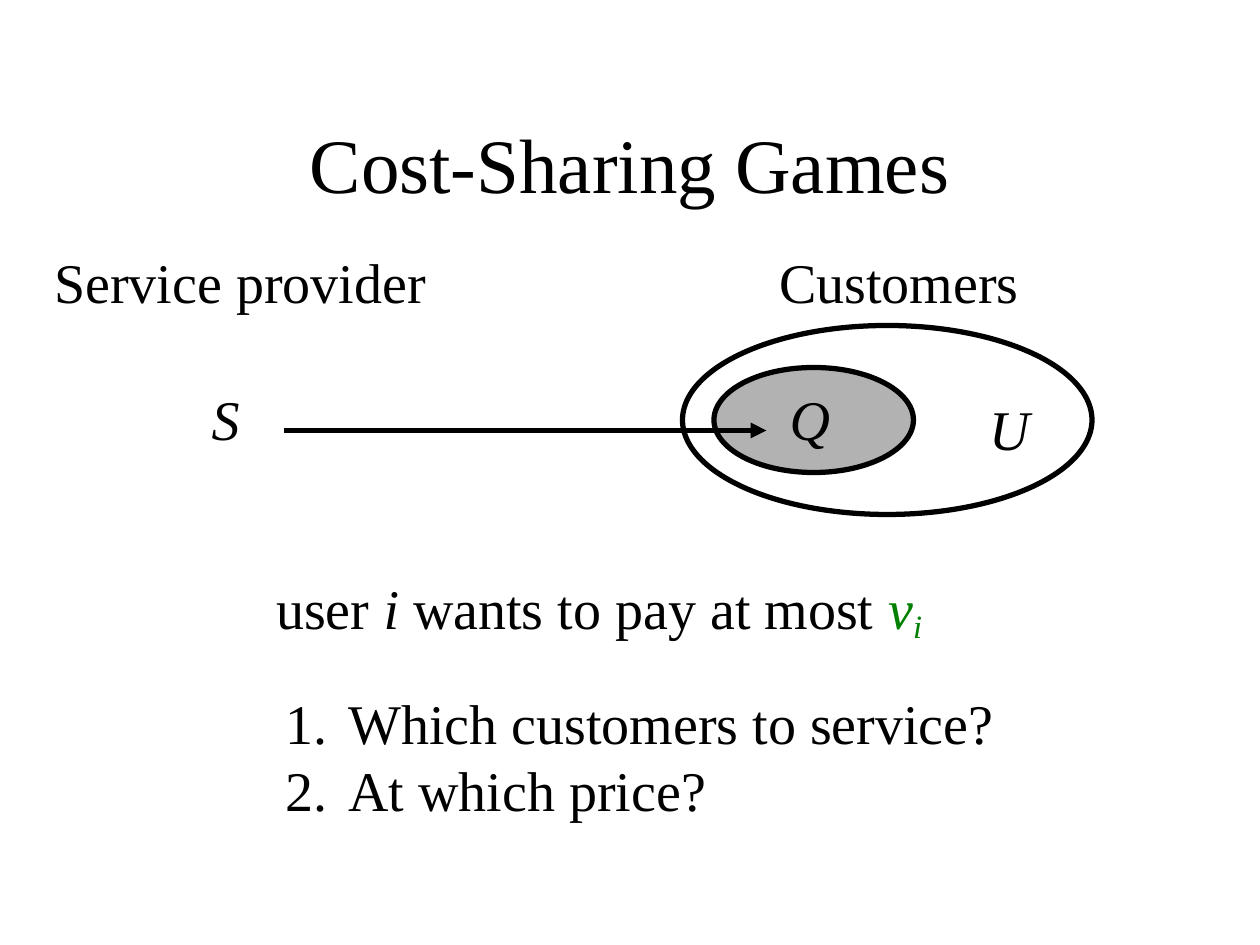
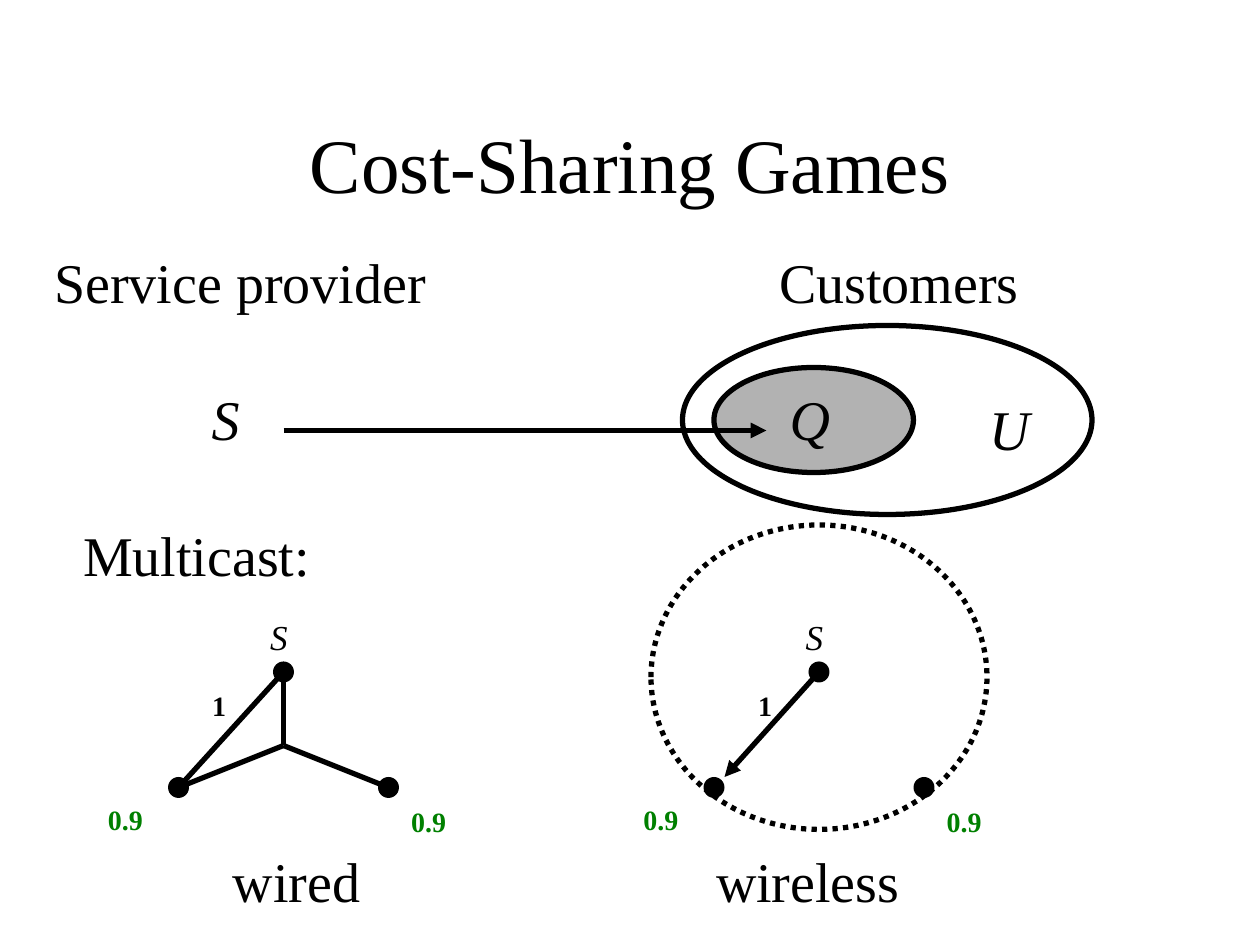
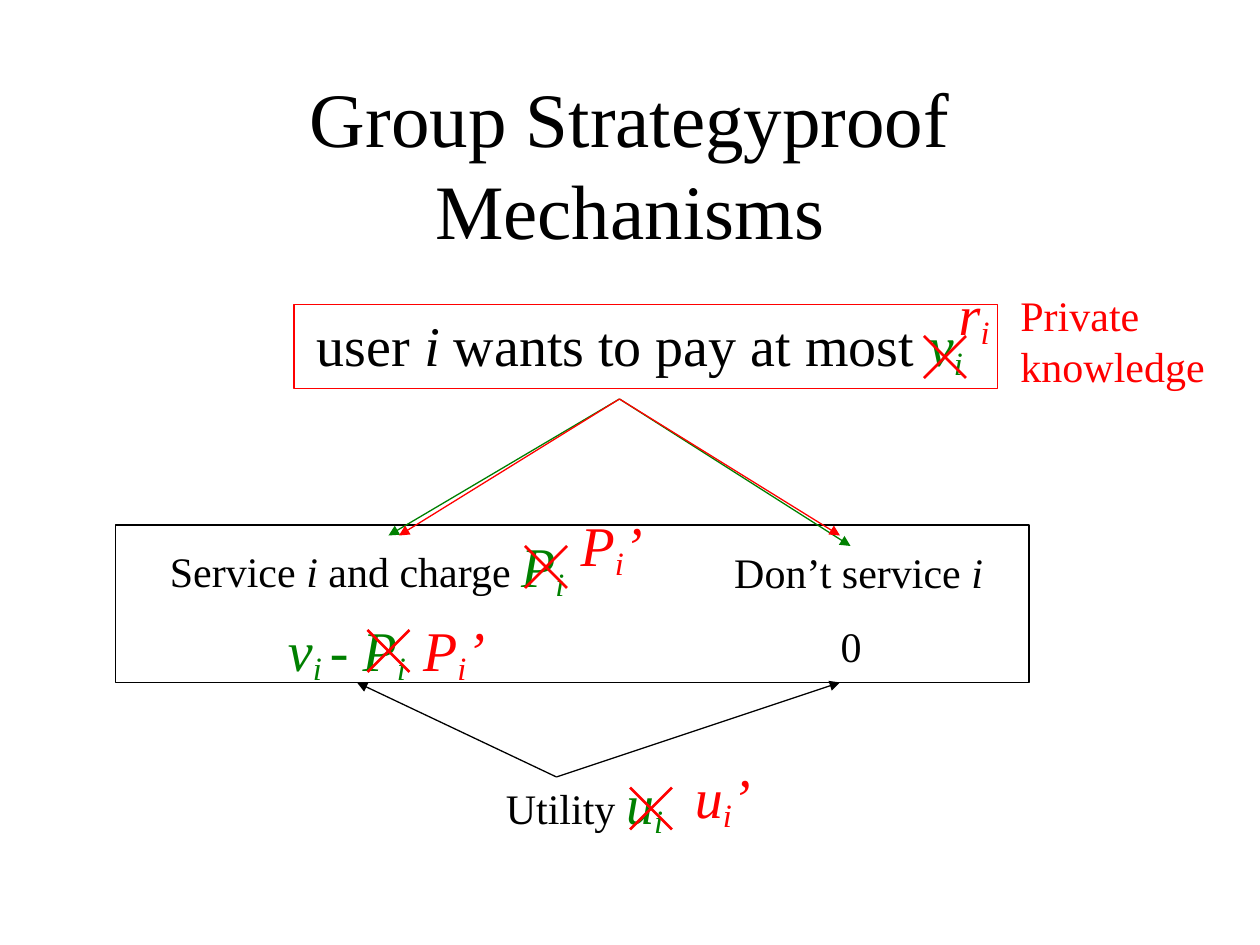
"""Build three slides on cost-sharing games and group strategyproof mechanisms."""
from lxml import etree
from pptx import Presentation
from pptx.dml.color import RGBColor
from pptx.enum import dml, shapes, text
from pptx.oxml import ns
from pptx.util import Pt

PX = 9525
FACE = "Times New Roman"
BLACK, GREEN, RED, GREY = "000000", "008000", "FF0000", "B2B2B2"
OVAL, RECT = shapes.MSO_SHAPE.OVAL, shapes.MSO_SHAPE.RECTANGLE
MID, LEFT = text.PP_ALIGN.CENTER, text.PP_ALIGN.LEFT

ITAL = {"italic": True}
SMALL = {"size": 24}
SLANT = {"italic": True, "size": 24}
NOTE = {"size": 16, "bold": True}
PRICE = {**NOTE, "color": GREEN}


def var(name, color, tail=""):
    """Give the runs of an italic variable with subscript i."""
    form = {"italic": True, "color": color}
    runs = [(name, form), ("i", {**form, "sub": True})]
    return runs + [(tail, form)] if tail else runs


WANT = [[("user ", {}), ("i ", ITAL), ("wants to pay at most ", {}), *var("v", GREEN)]]
ASKS = [[("Which customers to service?", {})], [("At which price?", {})]]

GAME = [
    ((744, 296, 50, 61), [[("U", ITAL)]]),
    ((592, 288, 50, 61), [[("Q", ITAL)]]),
    ((152, 288, 40, 61), [[("S", ITAL)]]),
    ((32, 184, 302, 61), [[("Service provider", {})]]),
    ((584, 184, 202, 61), [[("Customers", {})]]),
]
CAST = [
    ((54, 392, 192, 61), [[("Multicast:", {})]]),
    ((168, 640, 116, 61), [[("wired", {})]]),
    ((536, 640, 159, 61), [[("wireless", {})]]),
    ((152, 520, 30, 35), [[("1", NOTE)]]),
    ((568, 520, 30, 35), [[("1", NOTE)]]),
]
NET = [
    ((196, 464, 33, 42), [[("S", {**ITAL, "size": 20})]]),
    ((73, 607, 45, 35), [[("0.9", PRICE)]]),
    ((304, 608, 45, 35), [[("0.9", PRICE)]]),
]
DOTS = [(208, 504), (128, 592), (288, 592)]
SHIFT = 408
EDGES = [(136, 600, 216, 512), (216, 512, 216, 568),
         (216, 568, 136, 600), (216, 568, 296, 600)]

TRUTH = [
    ((768, 216, 159, 86), [[("Private", {**SMALL, "color": RED})],
                           [("knowledge", {**SMALL, "color": RED})]]),
    ((120, 400, 328, 64), [[("Service ", SMALL), ("i ", SLANT),
                            ("and charge ", SMALL), *var("P", GREEN)]]),
    ((550, 412, 209, 48), [[("Don’t service ", SMALL), ("i", SLANT)]]),
    ((631, 468, 35, 48), [[("0", SMALL)]]),
    ((210, 464, 117, 64), [[("v", {**ITAL, "color": GREEN}),
                            ("i ", {**ITAL, "color": GREEN, "sub": True}),
                            *var("- P", GREEN)]]),
    ((376, 581, 139, 64), [[("Utility ", SMALL), *var("u", GREEN)]]),
]
LIES = [
    ((433, 384, 66, 64), [var("P", RED, "’")]),
    ((313, 464, 66, 64), [var("P", RED, "’")]),
    ((520, 576, 61, 64), [var("u", RED, "’")]),
    ((721, 208, 42, 64), [var("r", RED)]),
]
FRAMES = [((224, 232, 536, 64), RED), ((88, 400, 696, 120), BLACK)]
FLOWS = [
    ((472, 304, 296, 408), GREEN), ((472, 304, 648, 416), GREEN),
    ((424, 592, 640, 520), BLACK), ((424, 592, 272, 520), BLACK),
    ((472, 304, 304, 408), RED), ((472, 304, 640, 408), RED),
]
CROSS = [(280, 480), (400, 416), (480, 600), (704, 256)]
ARM = 32


def rgb(code):
    """Turn a hex string into a colour."""
    return RGBColor.from_string(code)


def emu(nums):
    """Scale px lengths to EMU."""
    return [n * PX for n in nums]


def write(page, box, paras, align=MID, wrap=False, count=False):
    """Place a text box made of paragraphs of formatted runs."""
    frame = page.shapes.add_textbox(*emu(box)).text_frame
    frame.word_wrap = wrap
    if wrap:
        frame.vertical_anchor = text.MSO_ANCHOR.MIDDLE
    else:
        frame.auto_size = text.MSO_AUTO_SIZE.SHAPE_TO_FIT_TEXT
        frame.margin_right = 0
        if align == MID:
            frame.margin_left = 0
    for k, runs in enumerate(paras):
        para = frame.add_paragraph() if k else frame.paragraphs[0]
        para.alignment = align
        if count:
            prop = para._p.get_or_add_pPr()
            prop.set("marL", str(48 * PX))
            prop.set("indent", str(-48 * PX))
            etree.SubElement(prop, ns.qn("a:buFont"), typeface=FACE)
            etree.SubElement(prop, ns.qn("a:buAutoNum"), type="arabicPeriod")
        for words, form in runs:
            run = para.add_run()
            run.text = words
            look = {"size": 32, "color": BLACK, **form}
            run.font.color.rgb = rgb(look.pop("color"))
            if look.pop("sub", False):
                run.font._element.set("baseline", "-16000")
            look.update(name=FACE, size=Pt(look["size"]))
            for key, val in look.items():
                setattr(run.font, key, val)


def form(page, kind, box, fill=None, line=None, width=3, dash=None):
    """Place a preset shape."""
    item = page.shapes.add_shape(kind, *emu(box))
    item.shadow.inherit = False
    if fill:
        item.fill.solid()
        item.fill.fore_color.rgb = rgb(fill)
    else:
        item.fill.background()
    if line:
        item.line.color.rgb = rgb(line)
        item.line.width = Pt(width)
        item.line.dash_style = dash
    else:
        item.line.fill.background()


def draw(page, ends, color=BLACK, width=3, arrow=False):
    """Place a straight line, with an arrowhead if asked."""
    item = page.shapes.add_connector(shapes.MSO_CONNECTOR.STRAIGHT, *emu(ends))
    item.line.color.rgb = rgb(color)
    item.line.width = Pt(width)
    if arrow:
        etree.SubElement(item.line._get_or_add_ln(), ns.qn("a:tailEnd"), type="triangle")
    etree.SubElement(item._element.spPr, ns.qn("a:effectLst"))


def start(deck, title):
    """Add a blank slide with its title."""
    page = deck.slides.add_slide(deck.slide_layouts[6])
    write(page, (72, 64, 816, 120), [[(title, {"size": 44})]], wrap=True)
    return page


def game(deck):
    """Add a slide with the provider and customer diagram."""
    page = start(deck, "Cost-Sharing Games")
    form(page, OVAL, (544, 280, 152, 80), GREY, BLACK)
    draw(page, (216, 328, 584, 328), arrow=True)
    form(page, OVAL, (520, 248, 312, 144), line=BLACK)
    for box, paras in GAME:
        write(page, box, paras)
    return page


def ask(deck):
    """Build the slide with the two questions."""
    page = game(deck)
    write(page, (208, 520, 560, 112), ASKS, LEFT, count=True)
    write(page, (201, 432, 511, 64), WANT)


def cast(deck):
    """Build the multicast slide."""
    page = game(deck)
    for step in (0, SHIFT):
        for x, y in DOTS:
            form(page, OVAL, (x + step, y, 16, 16), BLACK)
        for (x, *rest), paras in NET:
            write(page, (x + step, *rest), paras)
    for ends in EDGES:
        draw(page, ends)
    form(page, OVAL, (496, 400, 256, 232), line=BLACK,
         dash=dml.MSO_LINE.ROUND_DOT)
    draw(page, (624, 512, 552, 592), arrow=True)
    for box, paras in CAST:
        write(page, box, paras)


def proof(deck):
    """Build the strategyproof slide."""
    page = start(deck, "Group Strategyproof Mechanisms")
    write(page, (232, 232, 511, 64), WANT)
    for box, color in FRAMES:
        form(page, RECT, box, line=color, width=0.75)
    for box, paras in TRUTH + LIES:
        write(page, box, paras, LEFT)
    for ends, color in FLOWS:
        draw(page, ends, color, 0.75, True)
    for x, y in CROSS:
        draw(page, (x, y, x + ARM, y + ARM), RED, 1.5)
        draw(page, (x, y + ARM, x + ARM, y), RED, 1.5)


def main():
    """Build and save the deck."""
    deck = Presentation()
    deck.slide_width, deck.slide_height = emu((960, 720))
    for build in (ask, cast, proof):
        build(deck)
    deck.save("out.pptx")


if __name__ == "__main__":
    main()
